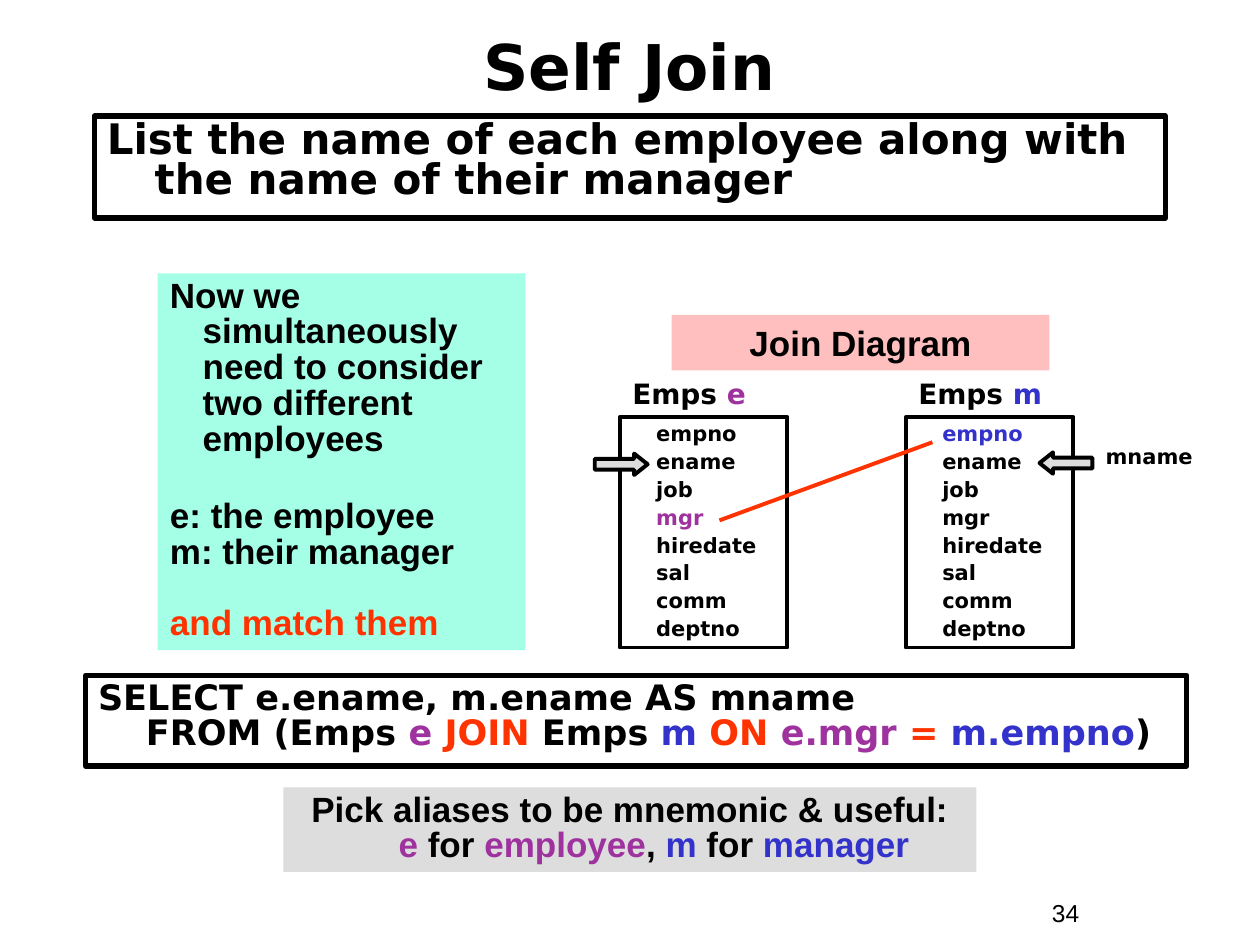
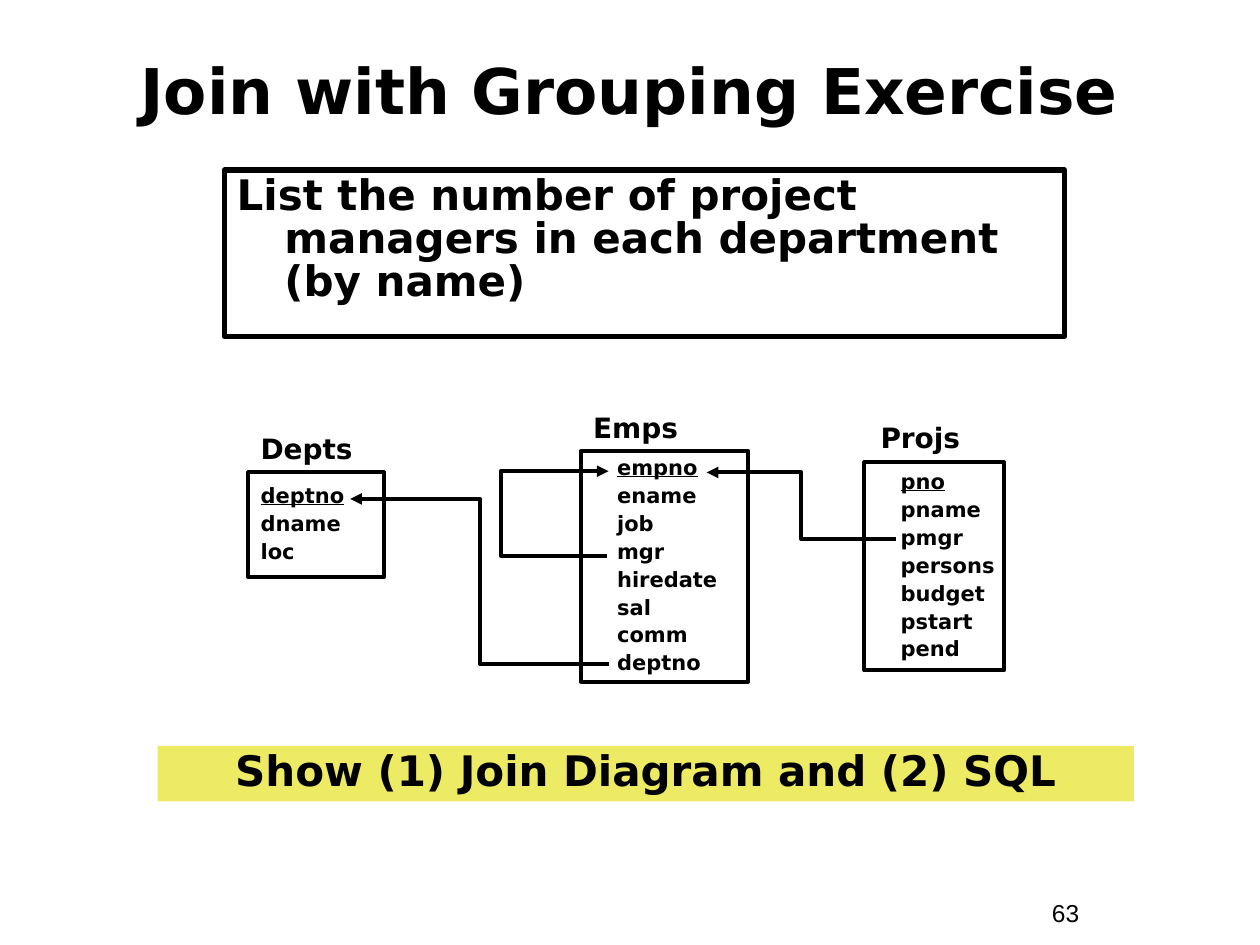
from lxml import etree
from pptx import Presentation
from pptx.dml.color import RGBColor
from pptx.enum.shapes import MSO_CONNECTOR, MSO_SHAPE
from pptx.enum.text import MSO_ANCHOR, PP_ALIGN
from pptx.oxml.ns import qn
from pptx.util import Inches, Pt

RECTANGLE = MSO_SHAPE.RECTANGLE
RIGHT_ARROW = MSO_SHAPE.RIGHT_ARROW
LEFT_ARROW = MSO_SHAPE.LEFT_ARROW
STRAIGHT = MSO_CONNECTOR.STRAIGHT
ELBOW = MSO_CONNECTOR.ELBOW
TOP, MIDDLE = MSO_ANCHOR.TOP, MSO_ANCHOR.MIDDLE
LEFT, CENTER = PP_ALIGN.LEFT, PP_ALIGN.CENTER

BLACK = RGBColor(0x00, 0x00, 0x00)
PURPLE = RGBColor(0x9E, 0x32, 0x9E)
BLUE = RGBColor(0x33, 0x33, 0xCC)
RED = RGBColor(0xFF, 0x33, 0x00)
GREY = RGBColor(0xDD, 0xDD, 0xDD)
PINK = RGBColor(0xFF, 0xBF, 0xBF)
MINT = RGBColor(0xA5, 0xFF, 0xE7)
YELLOW = RGBColor(0xED, 0xEA, 0x63)

HEADING_FONT = "DejaVu Sans"
NOTE_FONT = "Arial"
HANG = 0.38
DIAGRAM_LINE = 2.25
FRAME_LINE = 3
EMPS_COLUMNS = ["empno", "ename", "job", "mgr", "hiredate", "sal", "comm", "deptno"]


def add_run(paragraph, text, size, font, color=BLACK, bold=True, underline=False):
    """Add one formatted run, turning newlines into line breaks."""
    for number, line in enumerate(text.split("\n")):
        if number:
            paragraph.add_line_break()
        if line:
            run = paragraph.add_run()
            run.text = line
            run.font.size = Pt(size)
            run.font.name = font
            run.font.bold = bold
            run.font.color.rgb = color
            if underline:
                run.font.underline = True


def set_indent(paragraph, margin, first_line):
    """Set the left margin and first-line indent of a paragraph in inches."""
    properties = paragraph._p.get_or_add_pPr()
    properties.set("marL", str(Inches(margin)))
    properties.set("indent", str(Inches(first_line)))


def write(shape, paragraphs, size, font=HEADING_FONT, align=LEFT, anchor=TOP,
          spacing=1.0, margin=0, first_line=0, gaps=None, bold=True):
    """Fill a shape with paragraphs, each a list of run tuples."""
    frame = shape.text_frame
    frame.word_wrap = True
    frame.vertical_anchor = anchor
    for number, runs in enumerate(paragraphs):
        paragraph = frame.add_paragraph() if number else frame.paragraphs[0]
        paragraph.alignment = align
        paragraph.line_spacing = spacing
        set_indent(paragraph, margin, first_line)
        if number and gaps:
            paragraph.space_before = Pt(gaps[number - 1])
        for text, *style in runs:
            add_run(paragraph, text, size, font, *style, **({} if style else {"bold": bold}))


def add_text(slide, box, paragraphs, size, **style):
    """Add a plain text box."""
    write(slide.shapes.add_textbox(*map(Inches, box)), paragraphs, size, **style)


def add_panel(slide, box, fill=None, line=None, kind=RECTANGLE):
    """Add a preset shape with an optional fill and black outline."""
    panel = slide.shapes.add_shape(kind, *map(Inches, box))
    panel.shadow.inherit = False
    if fill is None:
        panel.fill.background()
    else:
        panel.fill.solid()
        panel.fill.fore_color.rgb = fill
    if line is None:
        panel.line.fill.background()
    else:
        panel.line.color.rgb = BLACK
        panel.line.width = Pt(line)
    return panel


def add_frame(slide, box, runs, size, spacing):
    """Add a thick outlined box with hanging text."""
    write(add_panel(slide, box, line=FRAME_LINE), [runs], size,
          spacing=spacing, margin=HANG, first_line=-HANG)


def add_table_box(slide, box, name_runs, name_at, columns, indent=0.19, key=None, colors=None):
    """Add a database table outline with its name above and its columns inside."""
    outline = add_panel(slide, box, line=DIAGRAM_LINE)
    outline.text_frame.margin_right = 0
    rows = [[(column, (colors or {}).get(column, BLACK), True, column == key)]
            for column in columns]
    write(outline, rows, 12, anchor=MIDDLE, spacing=0.9, margin=indent,
          gaps=[3] * (len(rows) - 1))
    add_text(slide, (*name_at, 1.36, 0.34), [name_runs], 16, spacing=0.9)


def add_line(slide, kind, start, end, color):
    """Add a connector without shadow."""
    connector = slide.shapes.add_connector(kind, *map(Inches, (*start, *end)))
    connector.line.color.rgb = color
    connector.line.width = Pt(DIAGRAM_LINE)
    etree.SubElement(connector._element.spPr, qn("a:effectLst"))
    return connector


def add_foreign_key(slide, start, end, bend_x):
    """Add an elbow arrow from a foreign key to a primary key, bending at bend_x."""
    arrow = add_line(slide, ELBOW, start, end, BLACK)
    ratio = (bend_x - start[0]) / (end[0] - start[0])
    guides = arrow._element.spPr.find(qn("a:prstGeom")).get_or_add_avLst()
    etree.SubElement(guides, qn("a:gd"), name="adj1", fmla=f"val {round(ratio * 100000)}")
    etree.SubElement(arrow.line._get_or_add_ln(), qn("a:tailEnd"), type="triangle")


def add_pointer(slide, box, kind):
    """Add a grey block arrow."""
    pointer = add_panel(slide, box, fill=GREY, line=DIAGRAM_LINE, kind=kind)
    pointer.adjustments[0] = 0.5
    pointer.adjustments[1] = 0.63


def add_slide(deck, title, title_top, title_height, number):
    """Add a blank slide with the shared title and page number."""
    slide = deck.slides.add_slide(deck.slide_layouts[6])
    add_text(slide, (8.25, 7.08, 0.92, 0.34), [[(number,)]], 14, font=NOTE_FONT, bold=False)
    add_text(slide, (0.33, title_top, 9.33, title_height), [[(title,)]], 36,
             align=CENTER, anchor=MIDDLE)
    return slide


def build_self_join(deck):
    """Build the self join slide."""
    slide = add_slide(deck, "Self Join", 0.14, 0.75, "34")
    add_frame(slide, (0.75, 0.92, 8.5, 0.81),
              [("List the name of each employee along with the name of their manager",)],
              24, 0.8)

    write(add_panel(slide, (1.25, 2.17, 2.92, 2.99), fill=MINT),
          [[("Now we simultaneously need to consider two different employees",)],
           [("e: the employee",)],
           [("m: their manager",)],
           [("and match them", RED)]],
          20, font=NOTE_FONT, spacing=0.85, margin=0.26, first_line=-0.26, gaps=[24, 0, 20])

    write(add_panel(slide, (5.33, 2.5, 3, 0.44), fill=PINK), [[("Join Diagram",)]], 20,
          font=NOTE_FONT, align=CENTER)
    for left, alias, join_column, color in ((4.92, "e", "mgr", PURPLE),
                                            (7.19, "m", "empno", BLUE)):
        add_table_box(slide, (left, 3.31, 1.33, 1.83), [("Emps ",), (alias, color)],
                      (left, 2.97), EMPS_COLUMNS, colors={join_column: color})
    add_line(slide, STRAIGHT, (5.71, 4.13), (7.4, 3.51), RED)
    add_pointer(slide, (4.72, 3.6, 0.42, 0.17), RIGHT_ARROW)
    add_pointer(slide, (8.25, 3.59, 0.42, 0.17), LEFT_ARROW)
    add_text(slide, (8.66, 3.5, 0.92, 0.27), [[("mname",)]], 12, align=CENTER, spacing=0.85)

    add_frame(slide, (0.68, 5.36, 8.74, 0.72),
              [("SELECT e.ename, m.ename AS mname\nFROM (Emps ",), ("e ", PURPLE),
               ("JOIN", RED), (" Emps ",), ("m ", BLUE), ("ON ", RED),
               ("e.mgr ", PURPLE), ("= ", RED), ("m.empno", BLUE), (")",)],
              20, 0.85)
    write(add_panel(slide, (2.25, 6.25, 5.5, 0.67), fill=GREY),
          [[("Pick aliases to be mnemonic & useful:\n",), ("e", PURPLE), (" for ",),
            ("employee", PURPLE), (", ",), ("m", BLUE), (" for ",), ("manager", BLUE)]],
          20, font=NOTE_FONT, align=CENTER, spacing=0.85, margin=HANG, first_line=-HANG)


def build_grouping_exercise(deck):
    """Build the join with grouping slide."""
    slide = add_slide(deck, "Join with Grouping Exercise", 0.42, 0.58, "63")
    add_frame(slide, (1.78, 1.35, 6.67, 1.32),
              [("List the number of project managers in each department (by name)",)],
              24, 0.85)

    add_table_box(slide, (1.97, 3.75, 1.08, 0.83), [("Depts",)], (1.97, 3.41),
                  ["deptno", "dname", "loc"], indent=0, key="deptno")
    add_table_box(slide, (4.61, 3.58, 1.33, 1.83), [("Emps",)], (4.61, 3.24),
                  EMPS_COLUMNS, key="empno")
    add_table_box(slide, (6.86, 3.67, 1.11, 1.65), [("Projs",)], (6.89, 3.32),
                  ["pno", "pname", "pmgr", "persons", "budget", "pstart", "pend"], key="pno")
    add_foreign_key(slide, (7.11, 4.28), (5.61, 3.75), 6.36)
    add_foreign_key(slide, (4.82, 4.41), (4.83, 3.74), 3.96)
    add_foreign_key(slide, (4.83, 5.27), (2.78, 3.96), 3.81)

    write(add_panel(slide, (1.25, 5.92, 7.75, 0.44), fill=YELLOW),
          [[("Show (1) Join Diagram and (2) SQL",)]], 24, align=CENTER, spacing=0.85)


def main():
    """Build and save the deck."""
    deck = Presentation()
    deck.slide_width, deck.slide_height = Inches(10), Inches(7.5)
    build_self_join(deck)
    build_grouping_exercise(deck)
    deck.save("out.pptx")


if __name__ == "__main__":
    main()
